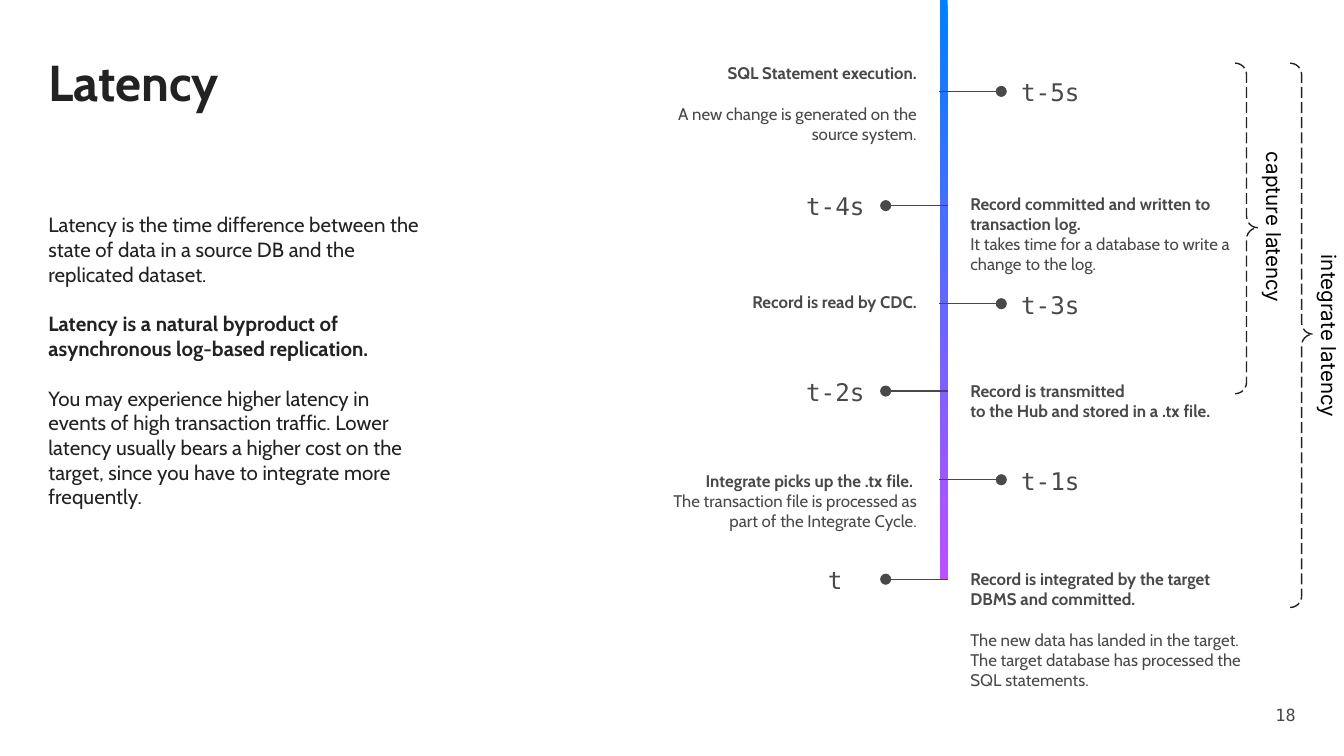
from dataclasses import dataclass

from lxml.etree import SubElement
from pptx import Presentation
from pptx.dml.color import RGBColor
from pptx.enum.dml import MSO_LINE
from pptx.enum.shapes import MSO_CONNECTOR, MSO_SHAPE
from pptx.enum.text import MSO_ANCHOR, MSO_AUTO_SIZE, PP_ALIGN
from pptx.oxml.ns import qn
from pptx.util import Inches, Pt


@dataclass(frozen=True)
class Style:
    font: str
    size: float
    color: str
    bold: bool = False


@dataclass(frozen=True)
class Theme:
    title = Style("Cabin", 27, "222222", True)
    body = Style("Cabin", 11, "222222")
    body_strong = Style("Cabin", 11, "222222", True)
    event = Style("Cabin", 9, "494949")
    event_strong = Style("Cabin", 9, "494949", True)
    time = Style("DejaVu Sans Mono", 13, "494949")
    number = Style("DejaVu Sans Mono", 9, "494949")
    span_label = Style("Inter", 11, "000000")
    line = "494949"
    brace = "222222"
    axis_start = "007FFF"
    axis_end = "BD50FF"
    line_width = 0.75
    line_height = 1.22


@dataclass(frozen=True)
class Box:
    left: float
    top: float
    width: float
    height: float

    def inches(self):
        return [Inches(v) for v in (self.left, self.top, self.width, self.height)]


THEME = Theme()

BODY = [
    ("Latency is the time difference between the state of data in a source DB "
     "and the replicated dataset.", THEME.body, False),
    ("Latency is a natural byproduct of asynchronous log-based replication.",
     THEME.body_strong, True),
    ("You may experience higher latency in events of high transaction traffic. "
     "Lower latency usually bears a higher cost on the target, since you have "
     "to integrate more frequently.", THEME.body, True),
]

# Time, position on the axis, start of the text above it, height,
# heading, detail, gap between heading and detail
EVENTS = [
    ("t-5s", 0.68, 0.21, 0.87, "SQL Statement execution.",
     "A new change is generated on the source system.", True),
    ("t-4s", 1.53, 0.09, 0.53, "Record committed and written to transaction log.",
     "It takes time for a database to write a change to the log.", False),
    ("t-3s", 2.26, 0.09, 0.31, "Record is read by CDC.", "", False),
    ("t-2s", 2.91, 0.08, 0.31,
     "Record is transmitted \vto the Hub and stored in a .tx file.", "", False),
    ("t-1s", 3.57, 0.07, 0.31, "Integrate picks up the .tx file. ",
     "The transaction file is processed as part of the Integrate Cycle.", False),
    ("t", 4.31, 0.08, 0.87, "Record is integrated by the target DBMS and committed.",
     "The new data has landed in the target. The target database has processed "
     "the SQL statements.", True),
]


def color(value):
    return RGBColor.from_string(value)


def fill_text(frame, paragraphs, align=PP_ALIGN.LEFT, anchor=MSO_ANCHOR.TOP, inset=0,
              fit=MSO_AUTO_SIZE.NONE):
    """Write (text, style, gap before) paragraphs; a gap is one line high."""
    frame.word_wrap = True
    frame.auto_size = fit
    frame.vertical_anchor = anchor
    frame.margin_left = frame.margin_right = Inches(inset)
    frame.margin_top = frame.margin_bottom = Inches(inset)
    for index, (text, style, gap) in enumerate(paragraphs):
        para = frame.paragraphs[0] if index == 0 else frame.add_paragraph()
        para.text = text
        para.alignment = align
        para.space_before = Pt(style.size * THEME.line_height if gap else 0)
        para.font.name = style.font
        para.font.size = Pt(style.size)
        para.font.bold = style.bold
        para.font.color.rgb = color(style.color)


def add_text(shapes, box, paragraphs, **layout):
    text_box = shapes.add_textbox(*box.inches())
    fill_text(text_box.text_frame, paragraphs, **layout)
    return text_box


def add_title(page, box, text):
    title = page.shapes.title
    title.left, title.top, title.width, title.height = box.inches()
    fill_text(title.text_frame, [(text, THEME.title, False)])


def add_dot_line(shapes, start, end, y):
    """Draw a horizontal line with a round dot at its start."""
    line = shapes.add_connector(
        MSO_CONNECTOR.STRAIGHT, Inches(start), Inches(y), Inches(end), Inches(y))
    line.line.color.rgb = color(THEME.line)
    line.line.width = Pt(THEME.line_width)
    SubElement(line.line._get_or_add_ln(), qn("a:headEnd"), type="oval")
    SubElement(line._element.spPr, qn("a:effectLst"))


def add_axis(page, box):
    """Draw the vertical bar as a horizontal one turned by 90 degrees."""
    center_x, center_y = box.left + box.width / 2, box.top + box.height / 2
    lying = Box(center_x - box.height / 2, center_y - box.width / 2,
                box.height, box.width)
    bar = page.shapes.add_shape(MSO_SHAPE.RECTANGLE, *lying.inches())
    bar.rotation = 90
    bar.shadow.inherit = False
    bar.line.fill.background()
    bar.fill.gradient()
    bar.fill.gradient_angle = 0
    for stop, value in zip(bar.fill.gradient_stops, (THEME.axis_start, THEME.axis_end)):
        stop.color.rgb = color(value)


def add_event(page, axis_x, side, event):
    """Place the text on one side of the axis (1 is right) and the time on the other."""
    time, y, rise, height, heading, detail, gap = event
    group = page.shapes.add_group_shape()
    width = 2.03
    text_left = axis_x + 0.2 if side > 0 else axis_x - 0.2 - width
    paragraphs = [(heading, THEME.event_strong, False)]
    if detail:
        paragraphs.append((detail, THEME.event, gap))
    add_text(group.shapes, Box(text_left, y - rise, width, height), paragraphs,
             align=PP_ALIGN.LEFT if side > 0 else PP_ALIGN.RIGHT)
    add_text(group.shapes, Box(axis_x - side * 0.8 - 0.41, y - 0.2, 0.81, 0.41),
             [(time, THEME.time, False)],
             align=PP_ALIGN.CENTER, anchor=MSO_ANCHOR.MIDDLE)
    add_dot_line(group.shapes, axis_x - side * 0.43, axis_x + side * 0.03, y)


def add_timeline(page, box):
    add_axis(page, box)
    for index, event in enumerate(EVENTS):
        add_event(page, box.left + box.width / 2, 1 if index % 2 else -1, event)


def add_latency_span(page, box, label, label_center):
    """Draw a dashed brace with a label turned by 90 degrees at its right."""
    brace = page.shapes.add_shape(MSO_SHAPE.RIGHT_BRACE, *box.inches())
    brace.adjustments[0] = 0.5
    brace.adjustments[1] = 0.498
    brace.shadow.inherit = False
    brace.fill.background()
    brace.line.color.rgb = color(THEME.brace)
    brace.line.width = Pt(THEME.line_width)
    brace.line.dash_style = MSO_LINE.LONG_DASH
    width, height = 1.97, 0.39
    center_x = box.left + box.width + 0.11
    label_box = add_text(
        page.shapes,
        Box(center_x - width / 2, label_center - height / 2, width, height),
        [(label, THEME.span_label, False)], align=PP_ALIGN.CENTER, inset=0.1,
        fit=MSO_AUTO_SIZE.SHAPE_TO_FIT_TEXT)
    label_box.rotation = 90


def build_latency_page(deck):
    page = deck.slides.add_slide(deck.slide_layouts[5])
    add_title(page, Box(0.36, 0.38, 3.48, 0.61), "Latency")
    add_text(page.shapes, Box(0.36, 1.58, 2.85, 3.06), BODY)
    add_timeline(page, Box(6.99, -0.01, 0.06, 4.32))
    add_latency_span(page, Box(9.19, 0.47, 0.17, 2.46), "capture latency", 1.69)
    add_latency_span(page, Box(9.6, 0.47, 0.17, 4.05), "integrate latency", 2.5)
    add_text(page.shapes, Box(9.39, 5.16, 0.25, 0.31), [("18", THEME.number, False)],
             align=PP_ALIGN.RIGHT, anchor=MSO_ANCHOR.MIDDLE)


def main():
    deck = Presentation()
    deck.slide_width = Inches(10)
    deck.slide_height = deck.slide_width * 9 // 16
    build_latency_page(deck)
    deck.save("out.pptx")


if __name__ == "__main__":
    main()
